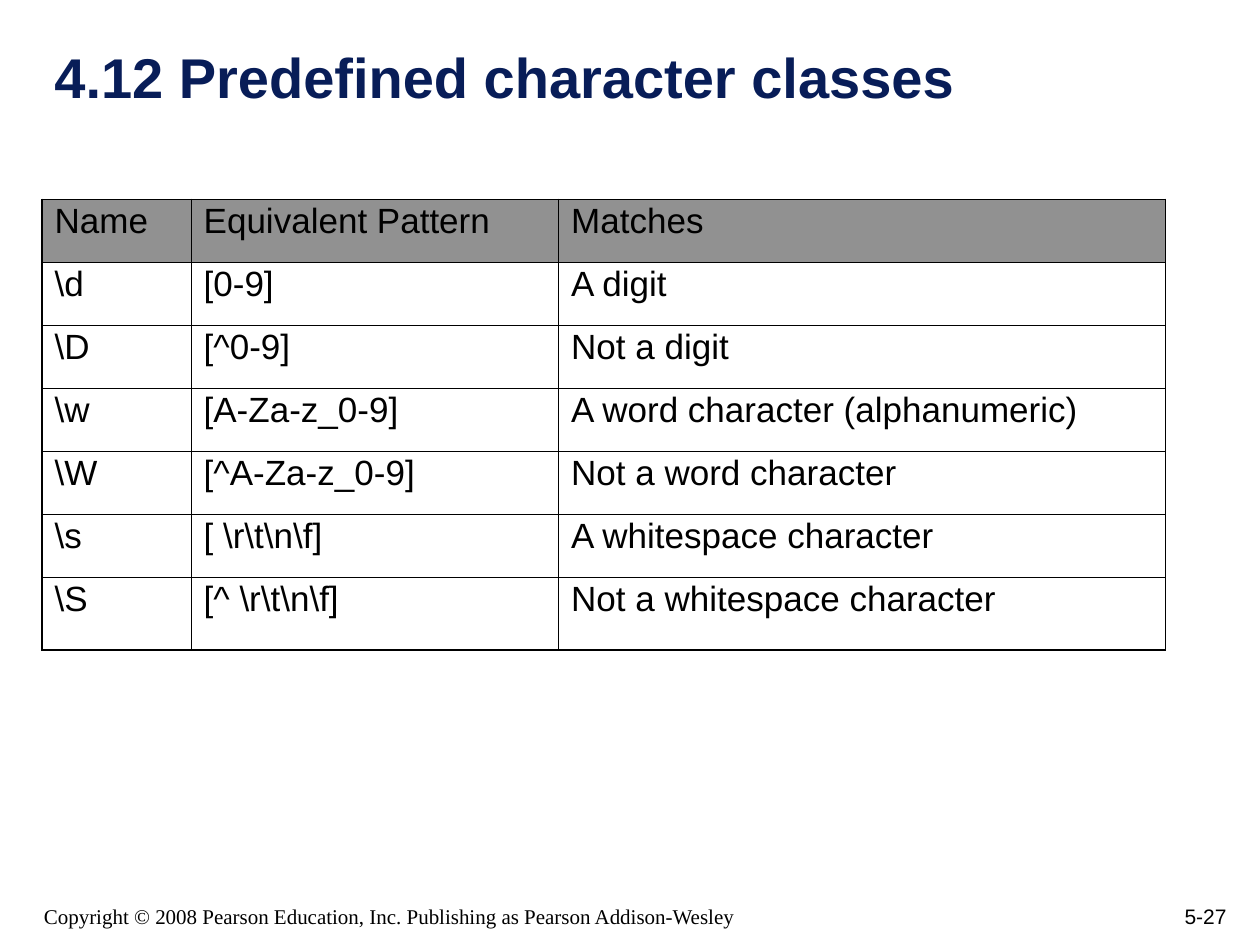
import lxml.etree
import pptx
import pptx.dml.color
import pptx.enum.text
import pptx.oxml.ns
import pptx.util

NAVY = pptx.dml.color.RGBColor(0x08, 0x1D, 0x58)
BLACK = pptx.dml.color.RGBColor(0x00, 0x00, 0x00)
GRAY = pptx.dml.color.RGBColor(0x91, 0x91, 0x91)
WHITE = pptx.dml.color.RGBColor(0xFF, 0xFF, 0xFF)
THIN, THICK = pptx.util.Pt(0.45), pptx.util.Pt(1.08)
ALIGN = pptx.enum.text.PP_ALIGN

prs = pptx.Presentation()
prs.slide_width = pptx.util.Inches(10)
prs.slide_height = pptx.util.Inches(7.5)
unit = prs.slide_width / 120  # square grid: 120 columns by 90 rows
s = prs.slides.add_slide(prs.slide_layouts[6])


def grid(*cells):
    """Turn counts of grid columns or rows into lengths."""
    return [pptx.util.Emu(round(n * unit)) for n in cells]


def add_border(cell, side, width):
    qn = pptx.oxml.ns.qn
    ln = lxml.etree.SubElement(cell._tc.get_or_add_tcPr(), qn(f"a:ln{side}"), w=str(width))
    fill = lxml.etree.SubElement(ln, qn("a:solidFill"))
    lxml.etree.SubElement(fill, qn("a:srgbClr"), val=str(BLACK))


texts = [
    ("5-27", (93, 83, 25, 6), "Arial", 12, False, BLACK, ALIGN.RIGHT),
    ("Copyright © 2008 Pearson Education, Inc. Publishing as Pearson Addison-Wesley",
     (3, 84, 73, 5), "Times New Roman", 12, False, BLACK, ALIGN.LEFT),
    ("4.12 Predefined character classes", (4, 4, 113, 7), "Arial", 32, True, NAVY, ALIGN.LEFT),
]
for text, box, font, size, bold, color, align in texts:
    tf = s.shapes.add_textbox(*grid(*box)).text_frame
    tf.word_wrap = True
    tf.vertical_anchor = pptx.enum.text.MSO_ANCHOR.BOTTOM
    p = tf.paragraphs[0]
    p.text = text
    p.alignment = align
    p.font.name = font
    p.font.size = pptx.util.Pt(size)
    p.font.bold = bold
    p.font.color.rgb = color

rows = [
    ("Name", "Equivalent Pattern", "Matches"),
    (r"\d", "[0-9]", "A digit"),
    (r"\D", "[^0-9]", "Not a digit"),
    (r"\w", "[A-Za-z_0-9]", "A word character (alphanumeric)"),
    (r"\W", "[^A-Za-z_0-9]", "Not a word character"),
    (r"\s", r"[ \r\t\n\f]", "A whitespace character"),
    (r"\S", r"[^ \r\t\n\f]", "Not a whitespace character"),
]
col_widths = [14.2, 35, 57.8]
row_heights = [6] * 6 + [6.9]
last_row, last_col = len(rows) - 1, len(col_widths) - 1

table = s.shapes.add_table(
    len(rows), len(col_widths), *grid(4, 19, sum(col_widths), sum(row_heights))
).table
table.horz_banding = False
for column, width in zip(table.columns, grid(*col_widths)):
    column.width = width
for row, height in zip(table.rows, grid(*row_heights)):
    row.height = height

for i, row in enumerate(rows):
    for j, text in enumerate(row):
        cell = table.cell(i, j)
        outer = {"L": j == 0, "R": j == last_col, "T": i == 0, "B": i == last_row}
        for side, is_outer in outer.items():
            add_border(cell, side, THICK if is_outer else THIN)
        cell.fill.solid()
        cell.fill.fore_color.rgb = GRAY if i == 0 else WHITE
        p = cell.text_frame.paragraphs[0]
        p.text = text
        p.line_spacing = 0.9
        p.font.name = "Arial"
        p.font.size = pptx.util.Pt(20)
        p.font.bold = False
        p.font.color.rgb = BLACK

prs.save("out.pptx")
